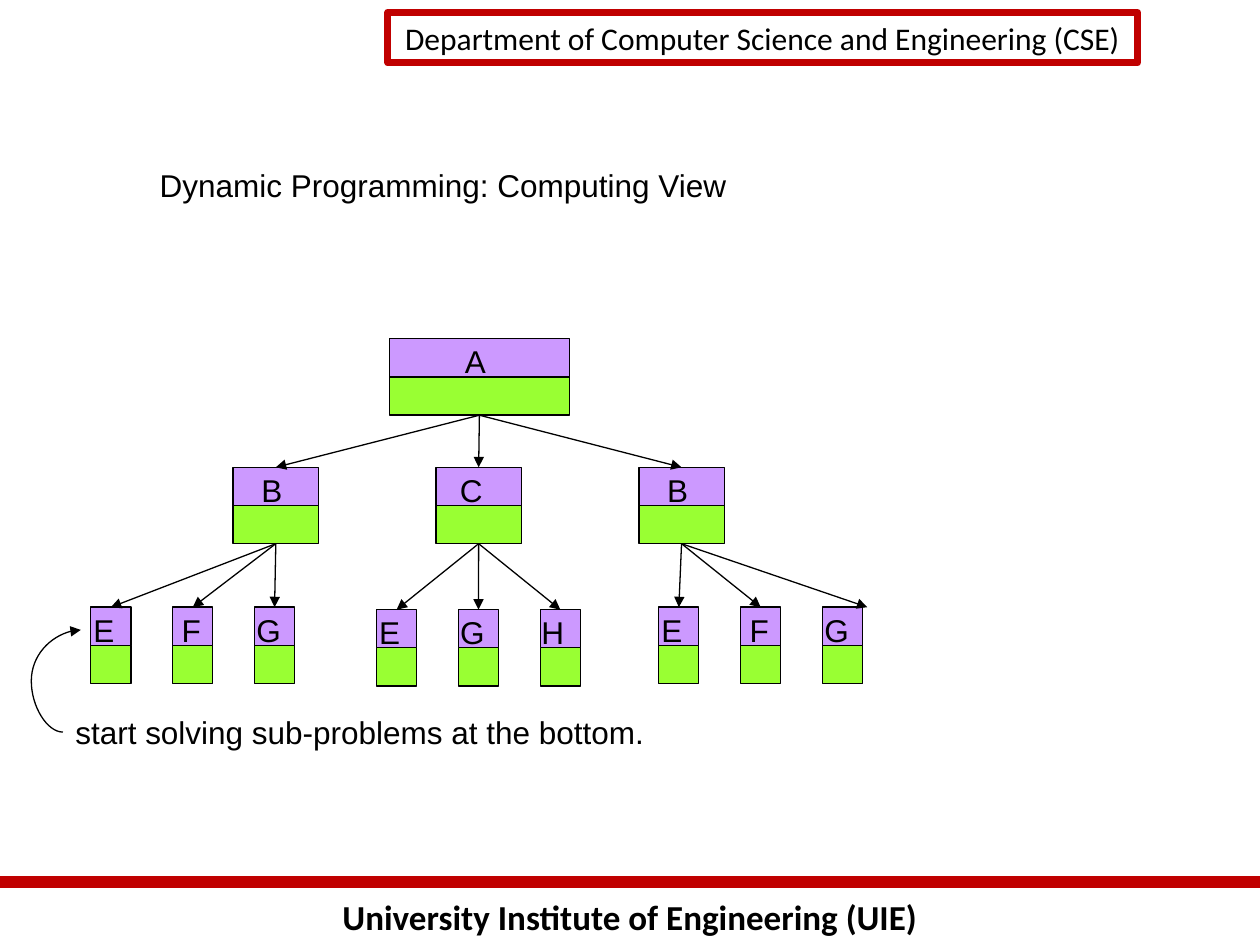
from lxml import etree
from pptx import Presentation
from pptx.dml.color import RGBColor
from pptx.enum.shapes import MSO_CONNECTOR, MSO_SHAPE
from pptx.enum.text import MSO_ANCHOR, PP_ALIGN
from pptx.oxml.ns import qn
from pptx.util import Cm, Pt

BLACK, RED, PURPLE, GREEN = "000000", "C00000", "CC99FF", "99FF33"
HALF = 0.77  # height of each half of a node, in cm
LEAF_WIDTH, LEAF_STEP = 0.81, 1.65
BRANCH_WIDTH, BRANCH_STEP = 1.72, 4.09
# How far each letter sits from the centre of its node
LETTER_SHIFT = {"A": -0.08, "B": -0.08, "C": -0.15, "E": -0.14,
                "F": -0.03, "G": -0.12, "H": -0.15}


def colour(value):
    return RGBColor.from_string(value)


def set_text(shape, text, size=18, font="Arial", align=PP_ALIGN.LEFT,
             wrap=True, bold=False, anchor=MSO_ANCHOR.MIDDLE):
    frame = shape.text_frame
    frame.text = text
    frame.word_wrap = wrap
    frame.vertical_anchor = anchor
    para = frame.paragraphs[0]
    para.alignment = align
    span = para.runs[0]
    span.font.name = font
    span.font.size = Pt(size)
    span.font.bold = bold
    span.font.color.rgb = colour(BLACK)
    return para


def add_text(page, left, top, width, height, text, **style):
    box = page.shapes.add_textbox(Cm(left), Cm(top), Cm(width), Cm(height))
    return set_text(box, text, **style)


def add_rectangle(page, left, top, width, height, fill=None, line=BLACK, weight=0.75):
    shape = page.shapes.add_shape(MSO_SHAPE.RECTANGLE, Cm(left), Cm(top),
                                  Cm(width), Cm(height))
    shape.shadow.inherit = False
    if fill:
        shape.fill.solid()
        shape.fill.fore_color.rgb = colour(fill)
    else:
        shape.fill.background()
    shape.line.color.rgb = colour(line)
    shape.line.width = Pt(weight)
    return shape


def add_line(page, start, end, line=BLACK, weight=0.75, arrow=True,
             kind=MSO_CONNECTOR.STRAIGHT):
    connector = page.shapes.add_connector(kind, *map(Cm, start + end))
    connector.line.color.rgb = colour(line)
    connector.line.width = Pt(weight)
    if arrow:
        etree.SubElement(connector.line._get_or_add_ln(), qn("a:tailEnd"), type="triangle")
    etree.SubElement(connector._element.spPr, qn("a:effectLst"))
    return connector


def add_header(page, left, top, width, height):
    frame = add_rectangle(page, left, top, width, height, line=RED, weight=4)
    set_text(frame, "Department of Computer Science and Engineering (CSE)",
             font="Calibri", align=PP_ALIGN.CENTER, anchor=MSO_ANCHOR.TOP)


def add_footer(page, left, top, width, height):
    add_line(page, (left, top), (left + width, top), RED, 7, arrow=False)
    add_text(page, left, top + 0.15, width, height, "University Institute of Engineering (UIE)",
             size=20, font="Calibri", bold=True, align=PP_ALIGN.CENTER,
             anchor=MSO_ANCHOR.TOP)


def add_title(page, left, top, width, height):
    para = add_text(page, left, top, width, height, "Dynamic Programming: Computing View")
    para.line_spacing = 0.9


def add_node(page, left, top, width, letter):
    """Draw a two-part node and return the middle of its top and bottom edges."""
    add_rectangle(page, left, top + HALF, width, HALF, GREEN)
    add_rectangle(page, left, top, width, HALF, PURPLE)
    middle = left + width / 2
    add_text(page, middle + LETTER_SHIFT[letter] - 0.5, top - 0.06, 1, 1.02, letter,
             align=PP_ALIGN.CENTER, wrap=False)
    return (middle, top), (middle, top + 2 * HALF)


def add_tree(page, left, top):
    # Root
    root_bottom = add_node(page, left + 6.02, top, 3.63, "A")[1]
    # Branches: letter, leaf letters, left and top of the leaves, shift of the last arrow
    branches = [("B", "EFG", 0, 5.41, 0),
                ("C", "EGH", 5.76, 5.46, 0),
                ("B", "EFG", 11.45, 5.41, 0.5)]
    for column, (letter, leaves, leaf_left, leaf_top, last_shift) in enumerate(branches):
        branch_top, branch_bottom = add_node(page, left + 2.87 + column * BRANCH_STEP,
                                             top + 2.59, BRANCH_WIDTH, letter)
        add_line(page, root_bottom, branch_top)
        # Leaves under this branch
        for index, leaf in enumerate(leaves):
            (tip, leaf_edge), _ = add_node(page, left + leaf_left + index * LEAF_STEP,
                                           top + leaf_top, LEAF_WIDTH, leaf)
            if index == len(leaves) - 1:
                tip += last_shift
            add_line(page, branch_bottom, (tip, leaf_edge))


def add_note(page, left, top, width, height):
    add_text(page, left, top, width, height, "start solving sub-problems at the bottom.",
             wrap=False)
    # Curved arrow that swings out to the left, up to the first leaf
    middle = top + height / 2
    curve = add_line(page, (left, middle), (left + 0.36, middle - 2.06),
                     kind=MSO_CONNECTOR.CURVE)
    geometry = curve._element.spPr.find(qn("a:prstGeom"))
    adjustments = geometry.find(qn("a:avLst"))
    if adjustments is None:
        adjustments = etree.SubElement(geometry, qn("a:avLst"))
    etree.SubElement(adjustments, qn("a:gd"), name="adj1", fmla="val -177400")


def main():
    deck = Presentation()
    deck.slide_width, deck.slide_height = Cm(25.4), Cm(19.05)
    page = deck.slides.add_slide(deck.slide_layouts[6])
    add_footer(page, 0, 17.78, 25.4, 1.09)
    add_header(page, 7.82, 0.25, 15.11, 1.02)
    add_title(page, 2.97, 2.95, 22.4, 1.65)
    add_tree(page, 1.83, 6.83)
    add_note(page, 1.27, 14.25, 12.09, 1.02)
    deck.save("out.pptx")


if __name__ == "__main__":
    main()
